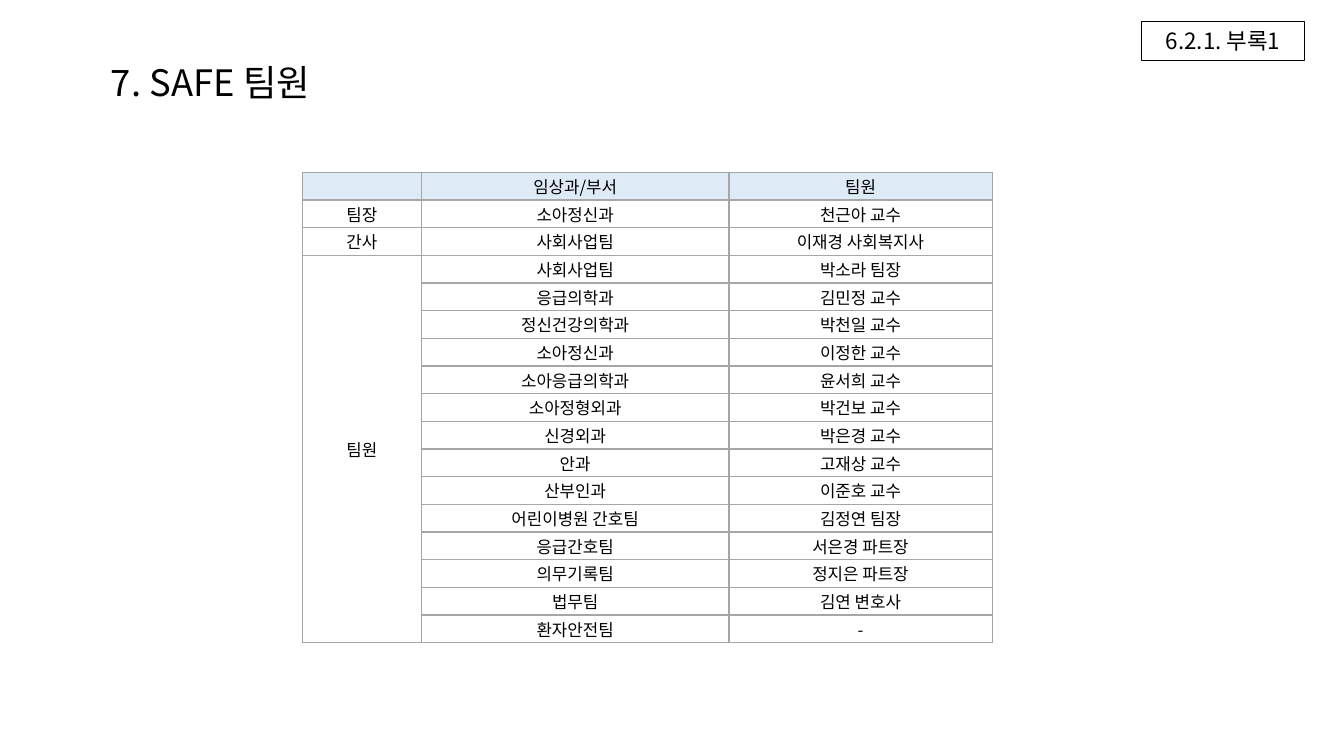
import dataclasses
import pptx
import pptx.util
import pptx.dml.color
import pptx.enum.shapes
import pptx.enum.text
import pptx.oxml.ns
import lxml.etree

Inches, Pt = pptx.util.Inches, pptx.util.Pt
RGB = pptx.dml.color.RGBColor.from_string
ALIGN = pptx.enum.text.PP_ALIGN
MIDDLE = pptx.enum.text.MSO_ANCHOR.MIDDLE
qn = pptx.oxml.ns.qn


@dataclasses.dataclass(frozen=True)
class Theme:
    font: str = "Noto Sans CJK KR"
    ink: str = "000000"
    paper: str = "FFFFFF"
    header: str = "DEEBF7"
    grid: str = "A6A6A6"
    title: int = 26
    label: int = 16
    body: int = 12


THEME = Theme()
SLIDE_W, SLIDE_H = 13.33, 7.5
COLUMN_WIDTHS = (1.18, 3.05, 2.61)
HEADER = ("", "임상과/부서", "팀원")
MEMBERS = (
    ("팀장", "소아정신과", "천근아 교수"),
    ("간사", "사회사업팀", "이재경 사회복지사"),
    ("팀원", "사회사업팀", "박소라 팀장"),
    ("", "응급의학과", "김민정 교수"),
    ("", "정신건강의학과", "박천일 교수"),
    ("", "소아정신과", "이정한 교수"),
    ("", "소아응급의학과", "윤서희 교수"),
    ("", "소아정형외과", "박건보 교수"),
    ("", "신경외과", "박은경 교수"),
    ("", "안과", "고재상 교수"),
    ("", "산부인과", "이준호 교수"),
    ("", "어린이병원 간호팀", "김정연 팀장"),
    ("", "응급간호팀", "서은경 파트장"),
    ("", "의무기록팀", "정지은 파트장"),
    ("", "법무팀", "김연 변호사"),
    ("", "환자안전팀", "-"),
)


def write(tf, text, size, align=ALIGN.CENTER):
    p = tf.paragraphs[0]
    p.alignment = align
    if not text:
        # An empty cell still takes its line height from this size.
        lxml.etree.SubElement(p._p, qn("a:endParaRPr"), sz=str(size * 100))
        return
    r = p.add_run()
    r.text = text
    r.font.size = Pt(size)
    r.font.name = THEME.font
    r.font.color.rgb = RGB(THEME.ink)
    lxml.etree.SubElement(r._r.get_or_add_rPr(), qn("a:ea"), typeface=THEME.font)


def set_borders(cell):
    tc_pr = cell._tc.get_or_add_tcPr()
    for i, side in enumerate(("lnL", "lnR", "lnT", "lnB")):
        ln = lxml.etree.Element(qn(f"a:{side}"), w=str(Pt(1)))
        fill = lxml.etree.SubElement(ln, qn("a:solidFill"))
        lxml.etree.SubElement(fill, qn("a:srgbClr"), val=THEME.grid)
        tc_pr.insert(i, ln)


def add_title(slide, box, text):
    sp = slide.shapes.title
    sp.left, sp.top, sp.width, sp.height = map(Inches, box)
    sp.text_frame.vertical_anchor = MIDDLE
    write(sp.text_frame, text, THEME.title, ALIGN.LEFT)


def add_appendix_label(slide, box, text):
    sp = slide.shapes.add_shape(
        pptx.enum.shapes.MSO_SHAPE.RECTANGLE, *map(Inches, box))
    sp.shadow.inherit = False
    sp.fill.solid()
    sp.fill.fore_color.rgb = RGB(THEME.paper)
    sp.line.color.rgb = RGB(THEME.ink)
    sp.line.width = Pt(0.25)
    sp.text_frame.word_wrap = True
    sp.text_frame.vertical_anchor = MIDDLE
    write(sp.text_frame, text, THEME.label)


def format_cell(cell, text, fill):
    cell.margin_left = cell.margin_right = cell.margin_top = cell.margin_bottom = 0
    cell.vertical_anchor = MIDDLE
    cell.fill.solid()
    cell.fill.fore_color.rgb = RGB(fill)
    set_borders(cell)
    write(cell.text_frame, text, THEME.body)


def add_member_table(slide, box, header, members):
    """Table whose rows without a role join the role above them."""
    rows = (header,) + members
    left, top, width, height = box
    table = slide.shapes.add_table(
        len(rows), len(header), *map(Inches, box)).table
    table.first_row = table.horz_banding = False
    for column, share in zip(table.columns, COLUMN_WIDTHS):
        column.width = Inches(width * share / sum(COLUMN_WIDTHS))
    for i, texts in enumerate(rows):
        table.rows[i].height = Inches(height / len(rows))
        for j, text in enumerate(texts):
            format_cell(table.cell(i, j), text, THEME.paper if i else THEME.header)
    starts = [i for i, row in enumerate(rows) if row[0]] + [len(rows)]
    for start, end in zip(starts, starts[1:]):
        if end - start > 1:
            table.cell(start, 0).merge(table.cell(end - 1, 0))


def main():
    prs = pptx.Presentation()
    prs.slide_width, prs.slide_height = Inches(SLIDE_W), Inches(SLIDE_H)
    slide = prs.slides.add_slide(prs.slide_layouts.get_by_name("Title Only"))
    add_title(slide, (1, 0.54, 3.67, 0.54), "7. SAFE 팀원")
    add_member_table(slide, (3, 1.71, sum(COLUMN_WIDTHS), 4.67), HEADER, MEMBERS)
    add_appendix_label(slide, (11.32, 0.21, 1.62, 0.39), "6.2.1. 부록1")
    prs.save("out.pptx")


if __name__ == "__main__":
    main()
